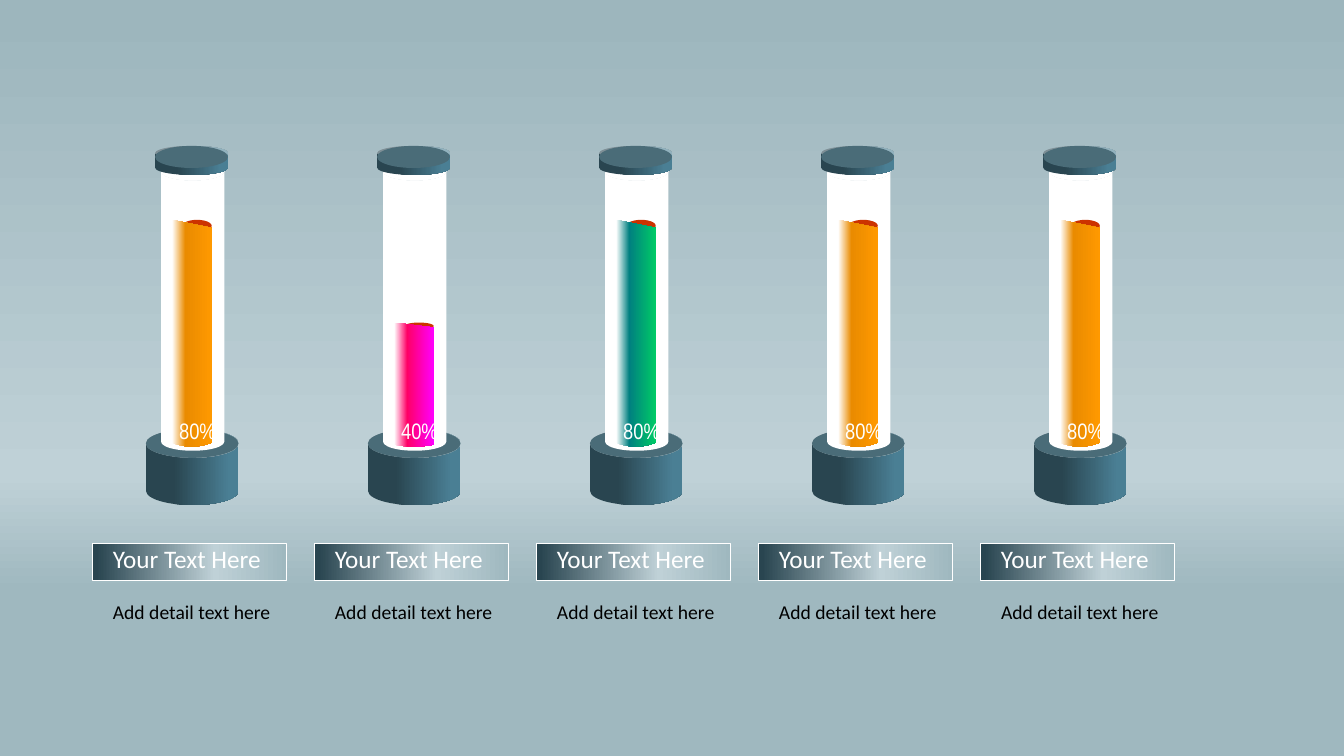
from lxml import etree
from pptx import Presentation
from pptx.dml.color import RGBColor
from pptx.enum.shapes import MSO_SHAPE
from pptx.enum.text import PP_ALIGN
from pptx.oxml.ns import qn
from pptx.util import Pt

CAN, OVAL, RECT = MSO_SHAPE.CAN, MSO_SHAPE.OVAL, MSO_SHAPE.RECTANGLE
LEFT, CENTER = PP_ALIGN.LEFT, PP_ALIGN.CENTER

WHITE = RGBColor(0xFF, 0xFF, 0xFF)
BLACK = RGBColor(0x00, 0x00, 0x00)
RED = RGBColor(0xCC, 0x33, 0x00)
DARK = RGBColor(0x29, 0x45, 0x50)
LID = RGBColor(0x4A, 0x6C, 0x78)
STEEL = RGBColor(0x4A, 0x7F, 0x94)
SKY = RGBColor(0x9D, 0xB6, 0xBD)
PALE = RGBColor(0xBF, 0xD1, 0xD7)
MIST = RGBColor(0x9F, 0xB8, 0xBF)
AMBER = RGBColor(0xEA, 0x8B, 0x00)
ORANGE = RGBColor(0xFF, 0x99, 0x00)
ROSE = RGBColor(0xFF, 0x00, 0x66)
MAGENTA = RGBColor(0xFF, 0x00, 0xFF)
TEAL = RGBColor(0x00, 0x80, 0x80)
GREEN = RGBColor(0x00, 0xCC, 0x66)

PITCH = 158.6
METAL = [(30, DARK), (90, STEEL), (100, STEEL)]
BANNER = [(2, DARK), (63, PALE), (100, MIST)]

# Level -> surface top, surface height, tilt, side bottom, sag of the bottom
LEVELS = {"80%": (157, 8.6, 5.8, 316, 3), "40%": (230.4, 5, 3.6, 317.5, 1.5)}
TUBES = [
    ("80%", AMBER, ORANGE),
    ("40%", ROSE, MAGENTA),
    ("80%", TEAL, GREEN),
    ("80%", AMBER, ORANGE),
    ("80%", AMBER, ORANGE),
]


def paint(obj, fill, paint_with, angle=0):
    """Fill with one colour, or with a gradient given as (percent, colour) stops."""
    if isinstance(paint_with, RGBColor):
        fill.solid()
        fill.fore_color.rgb = paint_with
        return
    fill.gradient()
    fill.gradient_angle = angle
    stops = next(obj.element.iter(qn("a:gsLst")))
    for old in list(stops):
        stops.remove(old)
    for percent, color in paint_with:
        stop = etree.SubElement(stops, qn("a:gs"), pos=str(percent * 1000))
        etree.SubElement(stop, qn("a:srgbClr"), val=str(color))


def add_shape(kind, x, y, w, h, paint_with, line=None):
    sp = s.shapes.add_shape(kind, Pt(x), Pt(y), Pt(w), Pt(h))
    sp.shadow.inherit = False
    paint(sp, sp.fill, paint_with)
    if line is None:
        sp.line.fill.background()
    else:
        sp.line.color.rgb = line
        sp.line.width = Pt(1)
    return sp


prs = Presentation()
prs.slide_width, prs.slide_height = Pt(960), Pt(540)
s = prs.slides.add_slide(prs.slide_layouts[6])
paint(s, s.background.fill, [(2, SKY), (63, PALE), (78, MIST), (100, MIST)], 270)

for i, (level, inner, outer) in enumerate(TUBES):
    x = 66 + i * PITCH
    surface, depth, tilt, bottom, sag = LEVELS[level]

    # Base, glass and cap: offset, top, width, height, lid height, side, lid
    for dx, y, w, h, lid, side, top in [
        (38.2, 306.5, 66.2, 54.3, 20.5, METAL, LID),
        (49, 116, 45.2, 206, 13, WHITE, WHITE),
        (44.8, 104.2, 52, 20.8, 15.8, METAL, LID),
    ]:
        can = add_shape(CAN, x + dx, y, w, h, side)
        can.adjustments[0] = lid / min(w, h)
        add_shape(OVAL, x + dx, y, w, lid, top)

    add_shape(OVAL, x + 64.3, surface, 20.9, depth, RED)
    left, width = x + 56.4, 29.2
    curve = [(left + width * (1 - t / 8), bottom + 4 * sag * t / 8 * (1 - t / 8))
             for t in range(9)]
    outline = [(left + width, surface + tilt)] + curve
    builder = s.shapes.build_freeform(Pt(left), Pt(surface))
    builder.add_line_segments([(Pt(px), Pt(py)) for px, py in outline], close=True)
    liquid = builder.convert_to_shape()
    liquid.shadow.inherit = False
    paint(liquid, liquid.fill, [(2, WHITE), (34, inner), (100, outer)])
    liquid.line.fill.background()

    add_shape(RECT, x, 388.1, 138.5, 26.6, BANNER, WHITE)

    for text, dx, y, w, h, size, font, color, align in [
        (level, 25.3, 294.5, 99.4, 26.6, 16, "Arial Narrow", WHITE, CENTER),
        ("Your Text Here", 7.5, 384.5, 126, 29, 18, "Calibri", WHITE, LEFT),
        ("Add detail text here", 1.8, 424.8, 138.2, 24.5, 14, "Calibri", BLACK, CENTER),
    ]:
        tf = s.shapes.add_textbox(Pt(x + dx), Pt(y), Pt(w), Pt(h)).text_frame
        tf.word_wrap = True
        p = tf.paragraphs[0]
        p.text = text
        p.alignment = align
        p.font.size, p.font.name = Pt(size), font
        p.font.color.rgb = color

prs.save("out.pptx")
